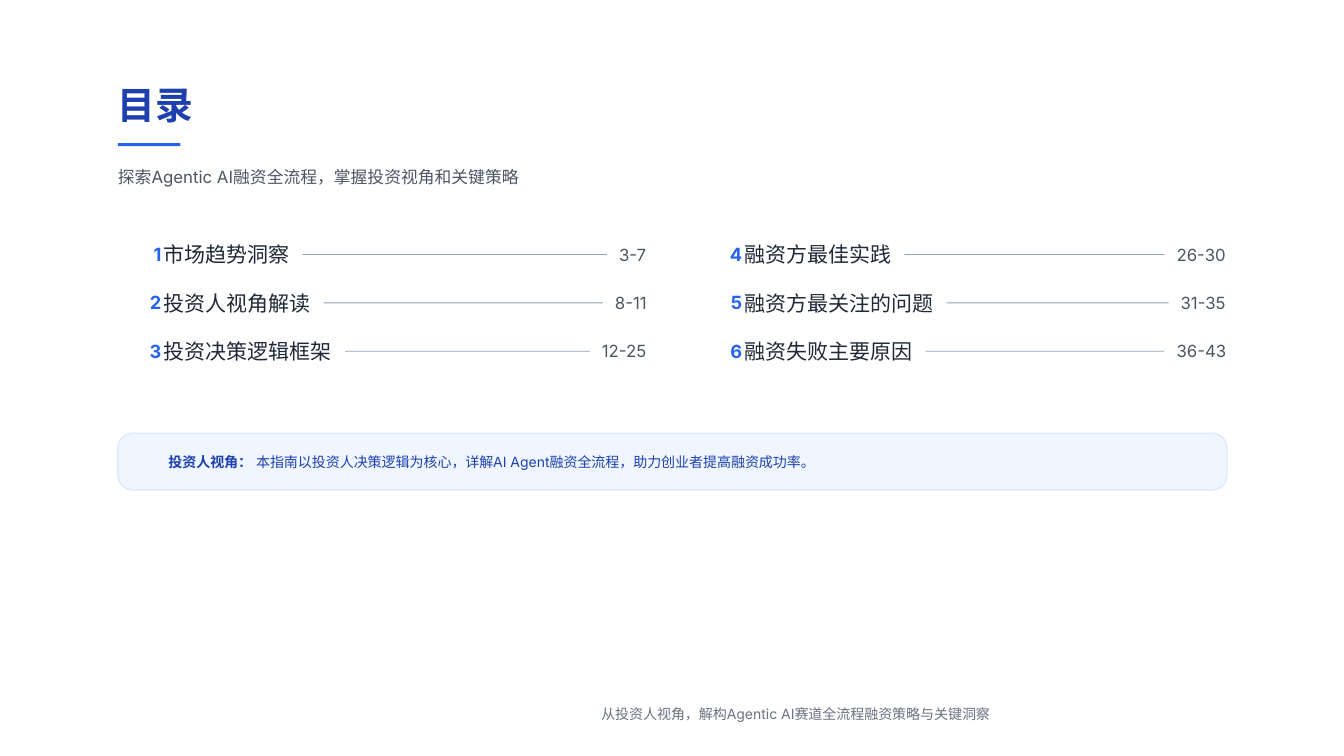
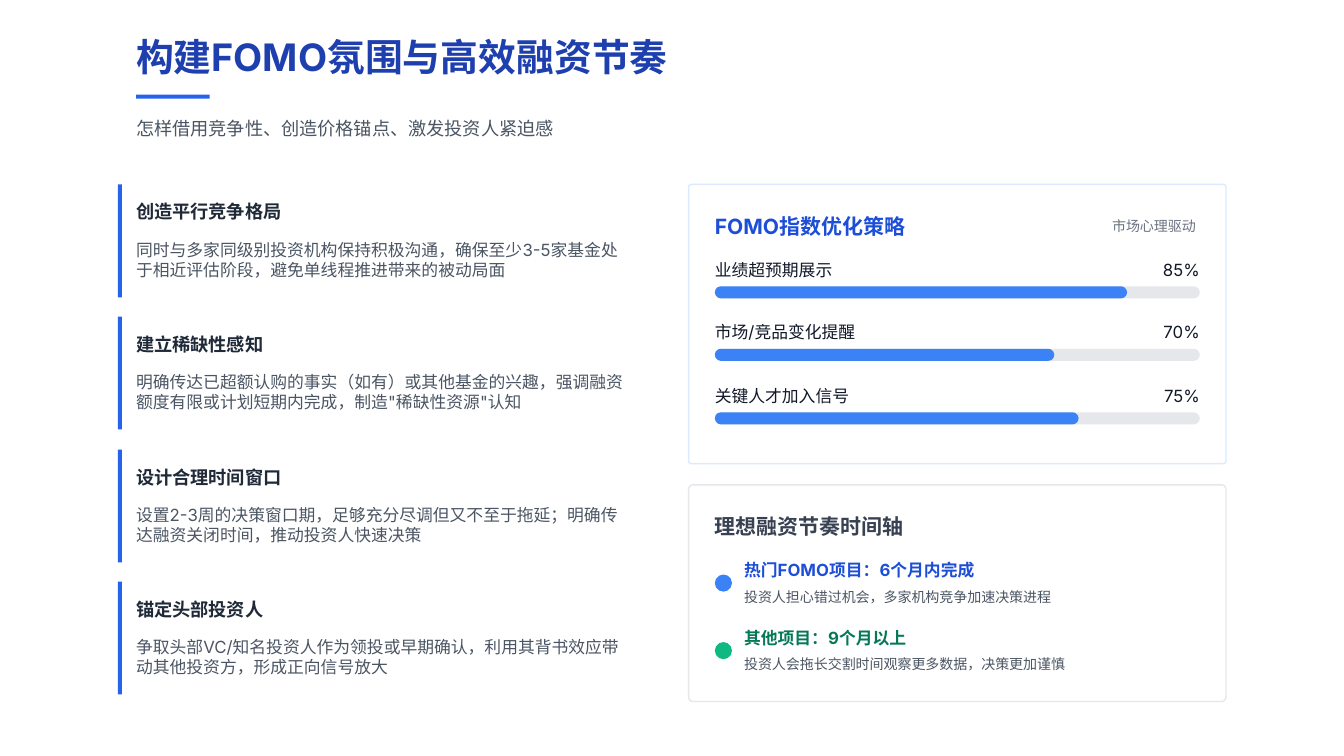
from pptx import Presentation
from pptx import util as u
from pptx.dml.color import RGBColor
from pptx.enum import shapes, text

PX = 9144  # 100 px to the inch
FONT = "Inter"
COLORS = {
    "white": "FFFFFF", "navy": "1E40AF", "accent": "2563EB", "royal": "1D4ED8",
    "bar": "3B82F6", "pale": "EFF6FF", "pale_line": "DBEAFE", "track": "E5E7EB",
    "rule": "94A3B8", "black": "111827", "ink": "1F2937", "slate": "374151",
    "body": "4B5563", "muted": "6B7280", "green": "10B981", "dark_green": "047857",
}
RECT = shapes.MSO_SHAPE.RECTANGLE
ROUND = shapes.MSO_SHAPE.ROUNDED_RECTANGLE
OVAL = shapes.MSO_SHAPE.OVAL
ALIGN = text.PP_ALIGN

TOPICS = [  # number, topic, pages, left edge of the pages
    [("1", "市场趋势洞察", "3-7", 614),
     ("2", "投资人视角解读", "8-11", 610),
     ("3", "投资决策逻辑框架", "12-25", 597)],
    [("4", "融资方最佳实践", "26-30", 1167),
     ("5", "融资方最关注的问题", "31-35", 1171),
     ("6", "融资失败主要原因", "36-43", 1167)],
]
TACTICS = [
    ("创造平行竞争格局", "同时与多家同级别投资机构保持积极沟通，确保至少3-5家基金处于相近评估阶段，避免单线程推进带来的被动局面"),
    ("建立稀缺性感知", "明确传达已超额认购的事实（如有）或其他基金的兴趣，强调融资额度有限或计划短期内完成，制造\"稀缺性资源\"认知"),
    ("设计合理时间窗口", "设置2-3周的决策窗口期，足够充分尽调但又不至于拖延；明确传达融资关闭时间，推动投资人快速决策"),
    ("锚定头部投资人", "争取头部VC/知名投资人作为领投或早期确认，利用其背书效应带动其他投资方，形成正向信号放大"),
]
SIGNALS = [("业绩超预期展示", 85), ("市场/竞品变化提醒", 70), ("关键人才加入信号", 75)]
STEPS = [
    ("热门FOMO项目：6个月内完成", "投资人担心错过机会，多家机构竞争加速决策进程", "bar", "royal"),
    ("其他项目：9个月以上", "投资人会拖长交割时间观察更多数据，决策更加谨慎", "green", "dark_green"),
]


def color(name):
    return RGBColor.from_string(COLORS[name])


def emu(*lengths):
    return [u.Emu(round(length * PX)) for length in lengths]


def add_text(page, words, left, top, width, height, *, size=12, fill="body",
             bold=False, align=ALIGN.LEFT):
    box = page.shapes.add_textbox(*emu(left, top, width, height))
    frame = box.text_frame
    frame.word_wrap = True
    frame.vertical_anchor = text.MSO_ANCHOR.MIDDLE
    frame.margin_left = frame.margin_right = frame.margin_top = frame.margin_bottom = 0
    para = frame.paragraphs[0]
    para.alignment = align
    span = para.add_run()
    span.text = words
    span.font.name = FONT
    span.font.size = u.Pt(size)
    span.font.bold = bold
    span.font.color.rgb = color(fill)


def add_block(page, left, top, width, height, fill, *, kind=RECT, line=None, corner=None):
    block = page.shapes.add_shape(kind, *emu(left, top, width, height))
    block.shadow.inherit = False
    block.fill.solid()
    block.fill.fore_color.rgb = color(fill)
    if line:
        block.line.color.rgb = color(line)
        block.line.width = u.Pt(1)
    else:
        block.line.fill.background()
    if corner is not None:
        block.adjustments[0] = corner


def add_header(page, left, top, title, subtitle, *, bar, size):
    bar_width, bar_height = bar
    add_text(page, title, left, top, 556, 46, size=27, fill="navy", bold=True)
    add_block(page, left, top + 61, bar_width, bar_height, "accent")
    add_text(page, subtitle, left, top + 84, 445, 21, size=size)


def add_topic_column(page, left, top, topics):
    for row, (number, topic, pages, pages_left) in enumerate(topics):
        y = top + 48 * row
        add_text(page, number, left - 29, y + 1, 27, 22, size=13, fill="accent",
                 bold=True, align=ALIGN.RIGHT)
        add_text(page, topic, left, y, 21 * len(topic) + 15, 25, size=15, fill="ink")
        # Leader runs from the end of the topic to just before the pages
        start = left + 21 * len(topic) + 12
        add_block(page, start, y + 12, pages_left - 12 - start, 1, "rule")
        add_text(page, pages, pages_left, y + 2, 64, 21)


def add_note(page, left, top, width, height):
    add_block(page, left, top, width, height, "pale", kind=ROUND,
              line="pale_line", corner=0.26)
    add_text(page, "投资人视角：", left + 50, top + 19, 98, 18, size=10, fill="navy", bold=True)
    add_text(page, "本指南以投资人决策逻辑为核心，详解AI Agent融资全流程，助力创业者提高融资成功率。",
             left + 137, top + 19, 595, 18, size=10, fill="navy")


def add_tactics(page, left, top, height):
    card_height = 112
    pitch = (height - card_height) / (len(TACTICS) - 1)
    for row, (heading, detail) in enumerate(TACTICS):
        y = top + round(pitch * row)
        add_block(page, left, y, 4, card_height, "accent")
        add_text(page, heading, left + 18, y + 16, 164, 22, size=13, fill="ink", bold=True)
        add_text(page, detail, left + 18, y + 52, 492, 46)


def add_signal_panel(page, left, top, width, height):
    add_block(page, left, top, width, height, "white", kind=ROUND,
              line="pale_line", corner=0.01)
    inner, track = left + 26, width - 52
    add_text(page, "FOMO指数优化策略", inner, top + 29, 204, 25, size=15, fill="royal", bold=True)
    add_text(page, "市场心理驱动", left + 420, top + 32, 98, 18, size=10, fill="muted")
    for row, (label, percent) in enumerate(SIGNALS):
        y = top + 74 + round(62.5 * row)
        add_text(page, label, inner, y, 200, 21, fill="black")
        add_text(page, f"{percent}%", inner + track - 50, y, 50, 21, fill="black",
                 align=ALIGN.RIGHT)
        for length, fill in ((track, "track"), (track * percent / 100, "bar")):
            add_block(page, inner, y + 27, length, 12, fill, kind=ROUND, corner=0.5)


def add_timeline_panel(page, left, top, width, height):
    add_block(page, left, top, width, height, "white", kind=ROUND,
              line="track", corner=0.02)
    add_text(page, "理想融资节奏时间轴", left + 26, top + 28, 203, 25, size=15,
             fill="slate", bold=True)
    # Heading and detail share one width, so each stays on one line
    text_left = left + 55
    text_width = width - 55 - 26
    for row, (heading, detail, dot, fill) in enumerate(STEPS):
        y = top + 74 + 67 * row
        add_block(page, left + 26, y + 15, 17, 17, dot, kind=OVAL)
        add_text(page, heading, text_left, y, text_width, 21, fill=fill, bold=True)
        add_text(page, detail, text_left, y + 28, text_width, 18, size=10)


def build_contents(page):
    add_header(page, 117, 81, "目录", "探索Agentic AI融资全流程，掌握投资视角和关键策略",
               bar=(62, 3), size=12)
    for left, topics in zip((162, 738), TOPICS):
        add_topic_column(page, left, 240, topics)
    add_note(page, 117, 430, 1100, 56)
    # Footer
    add_text(page, "从投资人视角，解构Agentic AI赛道全流程融资策略与关键洞察",
             580, 699, 418, 18, size=10, fill="muted", align=ALIGN.CENTER)


def build_fomo(page):
    add_header(page, 135, 33, "构建FOMO氛围与高效融资节奏",
               "怎样借用竞争性、创造价格锚点、激发投资人紧迫感", bar=(73, 4), size=13)
    add_tactics(page, 117, 183, 506)
    add_signal_panel(page, 683, 183, 533, 277)
    add_timeline_panel(page, 683, 481, 533, 215)


def main():
    deck = Presentation()
    deck.slide_width, deck.slide_height = emu(1333, 750)
    for build in (build_contents, build_fomo):
        build(deck.slides.add_slide(deck.slide_layouts[6]))
    deck.save("out.pptx")


if __name__ == "__main__":
    main()
